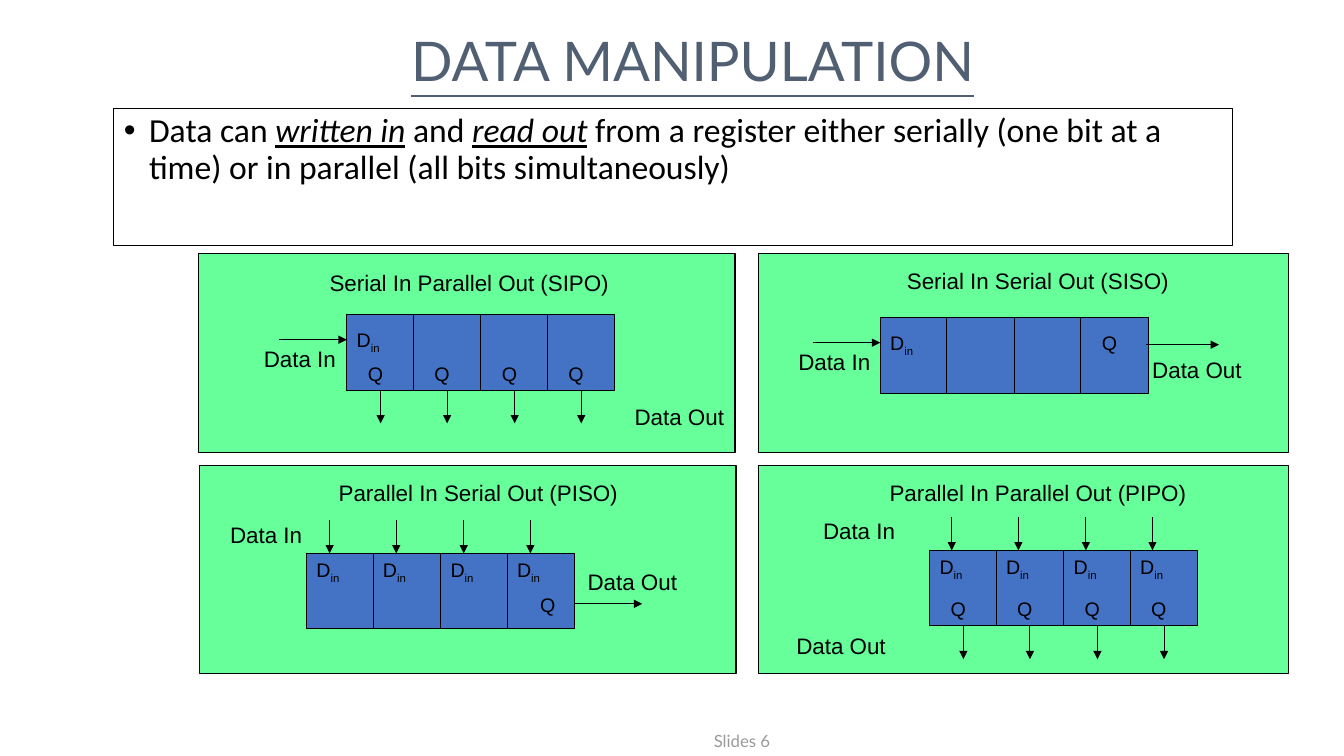
"""Build a slide on the four ways of moving data through a shift register."""
import pptx
import pptx.dml.color
import pptx.enum.shapes
import pptx.enum.text
import pptx.oxml.ns
import pptx.util
import lxml.etree

PX = 9144
ALIGN = pptx.enum.text.PP_ALIGN
RECTANGLE = pptx.enum.shapes.MSO_SHAPE.RECTANGLE
STRAIGHT = pptx.enum.shapes.MSO_CONNECTOR.STRAIGHT
THEME = {
    "panel": "66FF99", "cell": "4472C4", "ink": "000000", "paper": "FFFFFF",
    "title": "515F73", "footer": "9A9A9A",
    "heading_font": "Lato", "body_font": "Calibri", "label_font": "Arial",
    "title_size": 39, "body_size": 24, "label_size": 16, "pin_size": 14,
    "footer_size": 12, "line": 0.75,
}
CELL_WIDTH, CELL_HEIGHT, CELL_PITCH, ARROW_LENGTH = 67, 75, 66.4, 33
ALL_CELLS = range(4)

REGISTERS = [
    {"title": ("Serial In Parallel Out (SIPO)", 244, 262),
     "panel": (197, 252, 532, 197), "origin": (344, 312),
     "inputs": [0], "input_drop": 8, "outputs": ALL_CELLS, "output_shift": (11, 42),
     "arrows_in": None, "arrows_out": True, "side_arrows": [(277, 344, 337)],
     "labels": [("Data In", 199, 337, 144, ALIGN.RIGHT),
                ("Data Out", 562, 395, 166, ALIGN.RIGHT)]},
    {"title": ("Serial In Serial Out (SISO)", 808, 260),
     "panel": (752, 252, 526, 197), "origin": (873, 315),
     "inputs": [0], "input_drop": 8, "outputs": [3], "output_shift": (11, 8),
     "arrows_in": None, "arrows_out": False,
     "side_arrows": [(806, 873, 340), (1137, 1209, 342)],
     "labels": [("Data In", 729, 340, 144, ALIGN.RIGHT),
                ("Data Out", 1133, 348, 146, ALIGN.LEFT)]},
    {"title": ("Parallel In Serial Out (PISO)", 253, 470),
     "panel": (198, 462, 532, 206), "origin": (304, 549),
     "inputs": ALL_CELLS, "input_drop": 0, "outputs": [3], "output_shift": (23, 34),
     "arrows_in": 23, "arrows_out": False, "side_arrows": [(570, 637, 599)],
     "labels": [("Data In", 181, 512, 166, ALIGN.CENTER),
                ("Data Out", 573, 559, 151, ALIGN.LEFT)]},
    {"title": ("Parallel In Parallel Out (PIPO)", 808, 470),
     "panel": (752, 462, 526, 206), "origin": (922, 546),
     "inputs": ALL_CELLS, "input_drop": 0, "outputs": ALL_CELLS, "output_shift": (11, 41),
     "arrows_in": 22, "arrows_out": True, "side_arrows": [],
     "labels": [("Data In", 769, 508, 166, ALIGN.CENTER),
                ("Data Out", 780, 622, 151, ALIGN.LEFT)]},
]

deck = pptx.Presentation()
deck.slide_width, deck.slide_height = 1333 * PX, 750 * PX
page = deck.slides.add_slide(deck.slide_layouts[5])


def write(box, pieces, font, size, color, align=ALIGN.LEFT):
    """Fill a shape with one paragraph of runs and return the paragraph."""
    box.text_frame.word_wrap = True
    para = box.text_frame.paragraphs[0]
    para.alignment = align
    for piece in pieces:
        span = para.add_run()
        span.text = piece
        span.font.name = THEME[font]
        span.font.size = pptx.util.Pt(THEME[size])
        span.font.color.rgb = pptx.dml.color.RGBColor.from_string(THEME[color])
    return para


def draw(left, top, width, height, fill=None):
    """Add an outlined rectangle, or an arrow when no fill is named."""
    left, top, width, height = (value * PX for value in (left, top, width, height))
    if fill:
        item = page.shapes.add_shape(RECTANGLE, left, top, width, height)
        item.shadow.inherit = False
        item.fill.solid()
        item.fill.fore_color.rgb = pptx.dml.color.RGBColor.from_string(THEME[fill])
    else:
        item = page.shapes.add_connector(STRAIGHT, left, top, left + width, top + height)
    item.line.color.rgb = pptx.dml.color.RGBColor.from_string(THEME["ink"])
    item.line.width = pptx.util.Pt(THEME["line"])
    if not fill:
        head = lxml.etree.SubElement(item.line._ln, pptx.oxml.ns.qn("a:tailEnd"))
        head.set("type", "triangle")
        lxml.etree.SubElement(item._element.spPr, pptx.oxml.ns.qn("a:effectLst"))
    return item


title = page.shapes.title
title.left, title.top, title.width, title.height = 136 * PX, 22 * PX, 1102 * PX, 75 * PX
title.text_frame.auto_size = pptx.enum.text.MSO_AUTO_SIZE.NONE
heading = write(title, ["DATA MANIPULATION"], "heading_font", "title_size", "title", ALIGN.CENTER)
heading.runs[0].font.underline = True

summary = draw(113, 108, 1109, 136, "paper")
summary.text_frame.vertical_anchor = pptx.enum.text.MSO_ANCHOR.TOP
bullet = write(summary, [
    "Data can ", "written in", " and ", "read out",
    " from a register either serially (one bit at a time)"
    " or in parallel (all bits simultaneously)",
], "body_font", "body_size", "ink")
bullet.line_spacing = 0.9
bullet.space_before = pptx.util.Pt(10)
for span in bullet.runs[1:4:2]:
    span.font.italic = span.font.underline = True
properties = bullet._p.get_or_add_pPr()
properties.set("marL", str(25 * PX))
properties.set("indent", str(-25 * PX))
lxml.etree.SubElement(properties, pptx.oxml.ns.qn("a:buFont")).set("typeface", "Arial")
lxml.etree.SubElement(properties, pptx.oxml.ns.qn("a:buChar")).set("char", "•")

for register in REGISTERS:
    draw(*register["panel"], "panel")
    left, top = register["origin"]
    lefts = [left + round(index * CELL_PITCH) for index in ALL_CELLS]
    cells = [draw(x, top, CELL_WIDTH, CELL_HEIGHT, "cell") for x in lefts]

    for x, cell in zip(lefts, cells):
        if register["arrows_in"]:
            draw(x + register["arrows_in"], top - ARROW_LENGTH, 0, ARROW_LENGTH)
        if register["arrows_out"]:
            arrow = draw(x + 33, top + CELL_HEIGHT, 0, ARROW_LENGTH)
            arrow.begin_connect(cell, 2)
            arrow.end_x = arrow.begin_x
    for start, end, y in register["side_arrows"]:
        draw(start, y, end - start, 0)

    for index in register["inputs"]:
        box = page.shapes.add_textbox(
            lefts[index] * PX, (top + register["input_drop"]) * PX, 66 * PX, 33 * PX)
        pin = write(box, ["D", "in"], "label_font", "pin_size", "ink")
        pin.runs[1].font._element.set("baseline", "-25000")
    shift_x, shift_y = register["output_shift"]
    for index in register["outputs"]:
        box = page.shapes.add_textbox(
            (lefts[index] + shift_x) * PX, (top + shift_y) * PX, 44 * PX, 33 * PX)
        write(box, ["Q"], "label_font", "pin_size", "ink")

    for text, x, y, width, align in [(*register["title"], 443, ALIGN.CENTER), *register["labels"]]:
        box = page.shapes.add_textbox(x * PX, y * PX, width * PX, 37 * PX)
        write(box, [text], "label_font", "label_size", "ink", align)

footer = page.shapes.add_textbox(678 * PX, 698 * PX, 116 * PX, 52 * PX)
footer.text_frame.vertical_anchor = pptx.enum.text.MSO_ANCHOR.BOTTOM
write(footer, ["Slides 6"], "heading_font", "footer_size", "footer", ALIGN.CENTER)

deck.save("out.pptx")
